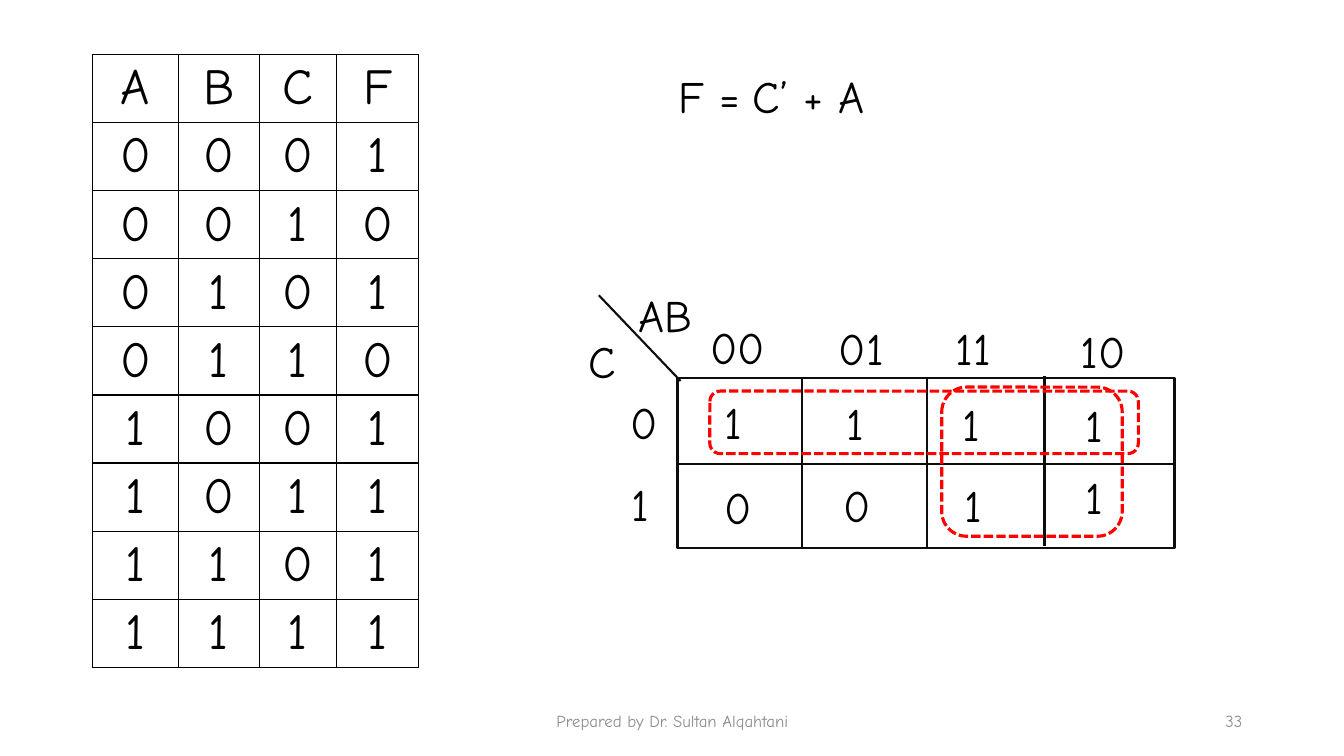
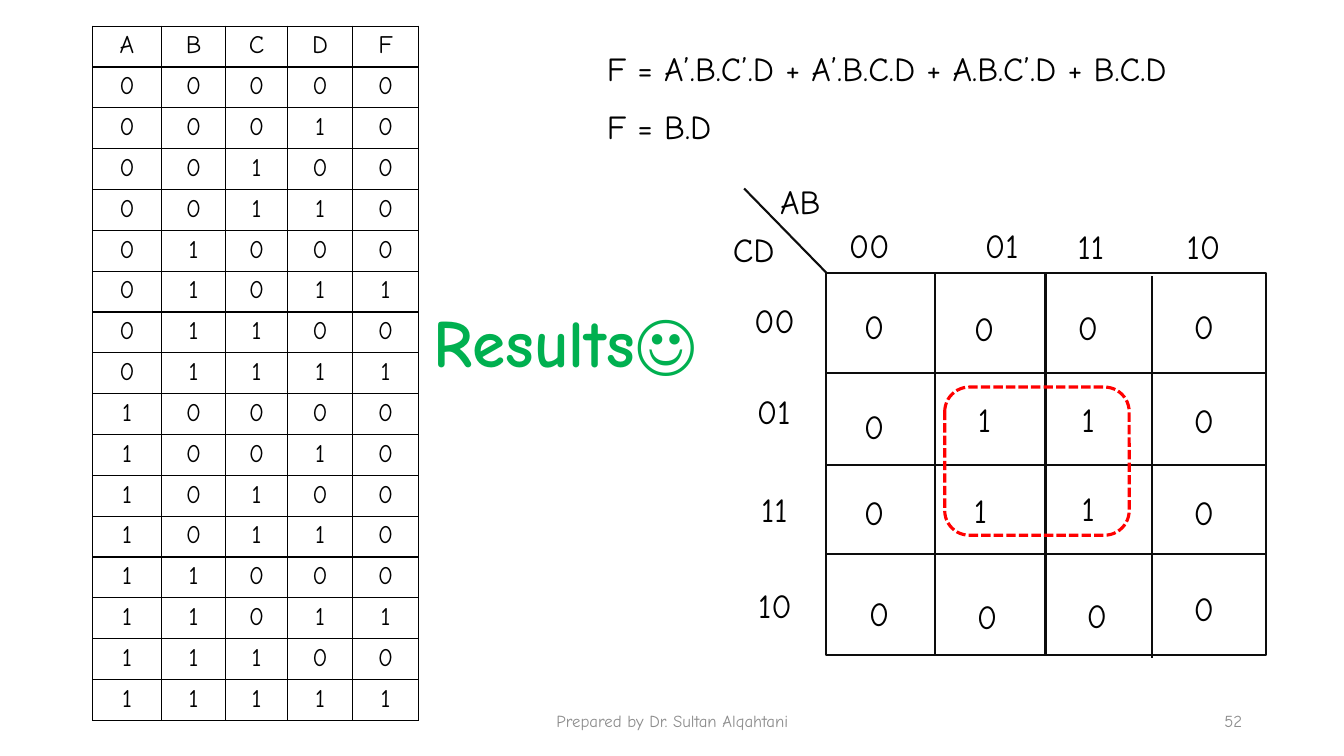
from itertools import pairwise, product

from lxml import etree
from pptx import Presentation
from pptx.dml.color import RGBColor
from pptx.enum.dml import MSO_LINE_DASH_STYLE as Dash
from pptx.enum.shapes import MSO_CONNECTOR as Connector, MSO_SHAPE as Shape
from pptx.enum.text import MSO_ANCHOR as Anchor, MSO_AUTO_SIZE as AutoSize, PP_ALIGN as Align
from pptx.oxml.ns import qn
from pptx.util import Pt

PX = 9144  # 100 px to the inch
FONT = "Comic Neue"
BLACK, INK, WHITE, RED, GREEN, GREY = "000000", "0D0D0D", "FFFFFF", "FF0000", "00B050", "8C8C8C"
FOOTER = "Prepared by Dr. Sultan Alqahtani"

# Label widths and height at each text size
LABELS = {
    32: {"height": 64, "0": 48, "1": 40, "00": 75, "01": 68, "11": 61, "10": 68, "C": 47, "AB": 81},
    24: {"height": 50, "0": 41, "1": 35, "00": 61, "01": 56, "11": 50, "10": 56, "CD": 65, "AB": 66},
}

# Boxes are (left, top, width, height); labels are (text, left, top);
# column lines are (x, vertical shift).
SLIDES = [
    {
        "page": "33",
        "truth": {"inputs": "ABC", "outputs": "10101111", "size": 36,
                  "left": 92, "top": 54, "height": 608, "columns": [85, 80, 77, 81]},
        "texts": [
            ("F =", (663, 63, 97, 64), {"size": 32, "grow": True}),
            ("C’ + A", (737, 63, 153, 64), {"size": 32, "grow": True}),
        ],
        "map": {
            "size": 32,
            "frame": (672, 375, 493, 169),
            "column_lines": [(795, 0), (919, 0), (1036, -2)],
            "row_lines": [460],
            "corner": (594, 293, 675, 378),
            "headings": [("AB", 623, 281), ("C", 574, 326),
                         ("00", 695, 312), ("01", 822, 313), ("11", 938, 313), ("10", 1062, 316),
                         ("0", 615, 387), ("1", 617, 468)],
            "cells": [("1", 709, 387), ("1", 830, 388), ("1", 945, 389), ("1", 1067, 390),
                      ("0", 709, 471), ("0", 827, 469), ("1", 947, 469), ("1", 1067, 461)],
            "groups": [(934, 384, 179, 148), (704, 388, 425, 62)],
        },
    },
    {
        "page": "52",
        "truth": {"inputs": "ABCD", "outputs": "0000010100000101", "size": 18,
                  "left": 92, "top": 26, "height": 689, "columns": [68, 64, 61, 65, 65]},
        "texts": [
            ("F = A’.B.C’.D + A’.B.C.D + A.B.C’.D + B.C.D", (592, 43, 641, 50),
             {"size": 24, "grow": True, "wrap": False}),
            ("F = B.D", (592, 100, 132, 50), {"size": 24, "grow": True, "wrap": False}),
            ("Results☺", (420, 293, 309, 91),
             {"size": 48, "grow": True, "wrap": False, "color": GREEN, "bold": True}),
        ],
        "map": {
            "size": 24,
            "frame": (819, 271, 437, 379),
            "column_lines": [(927, 0), (1037, 0), (1143, 3)],
            "row_lines": [370, 461, 550],
            "corner": (738, 187, 820, 271),
            "headings": [("AB", 764, 175), ("CD", 717, 222),
                         ("00", 832, 218), ("01", 967, 218), ("11", 1059, 219), ("10", 1167, 219),
                         ("00", 738, 293), ("01", 741, 383), ("11", 745, 480), ("10", 742, 575)],
            "cells": [("0", 847, 299), ("0", 956, 301), ("0", 1059, 300), ("0", 1174, 299),
                      ("0", 847, 398), ("1", 960, 391), ("1", 1063, 391), ("0", 1174, 392),
                      ("0", 847, 483), ("1", 956, 481), ("1", 1063, 479), ("0", 1174, 483),
                      ("0", 852, 583), ("0", 959, 586), ("0", 1068, 585), ("0", 1174, 578)],
            "groups": [(937, 384, 183, 147)],
        },
    },
]


def rgb(color):
    return RGBColor.from_string(color)


def scaled(lengths):
    return [length * PX for length in lengths]


def write(frame, text, size, color=BLACK, bold=False, align=Align.LEFT):
    paragraph = frame.paragraphs[0]
    paragraph.alignment = align
    run = paragraph.add_run()
    run.text = text
    font = run.font
    font.name, font.size, font.bold = FONT, Pt(size), bold
    font.color.rgb = rgb(color)


def add_text(slide, text, box, grow=False, wrap=True, anchor=Anchor.TOP, **style):
    frame = slide.shapes.add_textbox(*scaled(box)).text_frame
    frame.word_wrap = wrap
    frame.auto_size = AutoSize.SHAPE_TO_FIT_TEXT if grow else AutoSize.NONE
    frame.vertical_anchor = anchor
    write(frame, text, **style)


def add_label(slide, text, left, top, size):
    sizes = LABELS[size]
    add_text(slide, text, (left, top, sizes[text], sizes["height"]), grow=True, wrap=False, size=size)


def add_line(slide, *ends):
    line = slide.shapes.add_connector(Connector.STRAIGHT, *scaled(ends))
    line.line.color.rgb = rgb(INK)
    line.line.width = Pt(1.5)
    etree.SubElement(line._element.spPr, qn("a:effectLst"))


def add_outline(slide, kind, box, color, width, fill=None, dash=None):
    shape = slide.shapes.add_shape(kind, *scaled(box))
    shape.shadow.inherit = False
    if fill:
        shape.fill.solid()
        shape.fill.fore_color.rgb = rgb(fill)
    else:
        shape.fill.background()
    shape.line.color.rgb = rgb(color)
    shape.line.width = Pt(width)
    if dash:
        shape.line.dash_style = dash


def add_borders(cell):
    """Draw a 1 pt black line on all four sides; the lines must precede the fill."""
    properties = cell._tc.get_or_add_tcPr()
    for position, side in enumerate(("lnL", "lnR", "lnT", "lnB")):
        border = etree.Element(qn(f"a:{side}"), w=str(Pt(1)))
        fill = etree.SubElement(border, qn("a:solidFill"))
        etree.SubElement(fill, qn("a:srgbClr"), val=BLACK)
        properties.insert(position, border)


def add_truth_table(slide, inputs, outputs, size, left, top, height, columns):
    combinations = product("01", repeat=len(inputs))
    rows = [[*inputs, "F"]] + [[*bits, out] for bits, out in zip(combinations, outputs)]
    box = scaled((left, top, sum(columns), height))
    table = slide.shapes.add_table(len(rows), len(columns), *box).table
    table.first_row = table.horz_banding = False
    for column, width in zip(table.columns, scaled(columns)):
        column.width = width
    edges = [height * PX * i // len(rows) for i in range(len(rows) + 1)]
    for row, (start, end), values in zip(table.rows, pairwise(edges), rows):
        row.height = end - start
        for cell, value in zip(row.cells, values):
            cell.fill.background()
            add_borders(cell)
            write(cell.text_frame, value, size, align=Align.CENTER)


def add_karnaugh_map(slide, size, frame, column_lines, row_lines, corner, headings, cells, groups):
    left, top, width, height = frame
    add_outline(slide, Shape.RECTANGLE, frame, INK, 1.5, fill=WHITE)
    for x, shift in column_lines:
        add_line(slide, x, top + shift, x, top + height + shift)
    for y in row_lines:
        add_line(slide, left, y, left + width, y)
    add_line(slide, *corner)
    for text, x, y in headings + cells:
        add_label(slide, text, x, y, size)
    for group in groups:
        add_outline(slide, Shape.ROUNDED_RECTANGLE, group, RED, 2.25, dash=Dash.SQUARE_DOT)


def add_footer(slide, page):
    style = {"size": 12, "color": GREY, "anchor": Anchor.MIDDLE}
    add_text(slide, FOOTER, (442, 695, 450, 40), align=Align.CENTER, **style)
    add_text(slide, page, (942, 695, 300, 40), align=Align.RIGHT, **style)


def main():
    deck = Presentation()
    deck.slide_width, deck.slide_height = scaled((1333, 750))
    for content in SLIDES:
        slide = deck.slides.add_slide(deck.slide_layouts[6])
        add_truth_table(slide, **content["truth"])
        add_karnaugh_map(slide, **content["map"])
        for text, box, style in content["texts"]:
            add_text(slide, text, box, **style)
        add_footer(slide, content["page"])
    deck.save("out.pptx")


if __name__ == "__main__":
    main()
